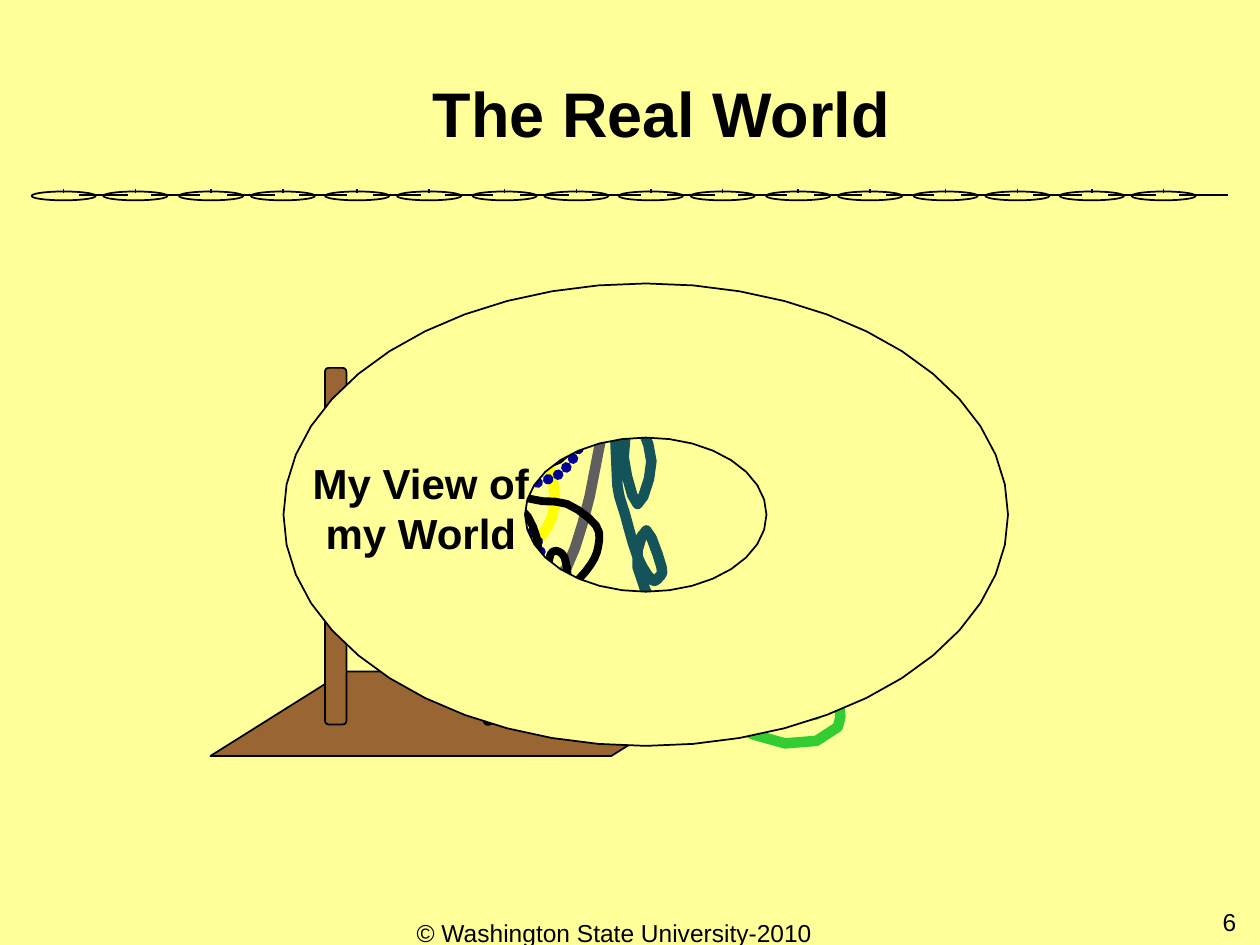
import math
from lxml import etree
from pptx import Presentation
from pptx.dml.color import RGBColor
from pptx.enum.shapes import MSO_CONNECTOR, MSO_SHAPE
from pptx.enum.text import MSO_ANCHOR, PP_ALIGN
from pptx.oxml.ns import qn
from pptx.util import Inches, Pt

OVAL = MSO_SHAPE.OVAL
ROUNDED = MSO_SHAPE.ROUNDED_RECTANGLE
PARALLELOGRAM = MSO_SHAPE.PARALLELOGRAM
STRAIGHT = MSO_CONNECTOR.STRAIGHT
CENTER, RIGHT = PP_ALIGN.CENTER, PP_ALIGN.RIGHT
MIDDLE, TOP, BOTTOM = MSO_ANCHOR.MIDDLE, MSO_ANCHOR.TOP, MSO_ANCHOR.BOTTOM

PAPER = RGBColor(0xFF, 0xFF, 0x99)
BLACK = RGBColor(0, 0, 0)
WOOD = RGBColor(0x99, 0x66, 0x33)
BLUE = RGBColor(0, 0, 0x99)
YELLOW = RGBColor(0xFF, 0xFF, 0)
GRAY = RGBColor(0x5F, 0x5F, 0x5F)
TEAL = RGBColor(0x14, 0x53, 0x5A)
GREEN = RGBColor(0x33, 0xCC, 0x33)

FONT = "Arial"
WIDTH, HEIGHT = Inches(10), Inches(7.5)
COLUMN, ROW = WIDTH // 1000, HEIGHT // 750

YELLOW_LOOPS = [
    (331, 327), (310, 358), (313, 402), (348, 433), (365, 431), (369, 387), (356, 379),
    (340, 394), (342, 415), (377, 442), (412, 440), (430, 425), (440, 402), (436, 372),
    (419, 348), (400, 350), (398, 365)]
GRAY_HOOK = [
    (483, 317), (468, 394), (450, 450), (428, 470), (400, 467), (372, 437), (358, 400),
    (371, 380), (400, 367)]
BLUE_DOTS = [
    (300, 329), (310, 369), (294, 402), (262, 415), (237, 390), (252, 367), (283, 371),
    (298, 419), (262, 429), (248, 460), (281, 479), (321, 483), (335, 456), (323, 388),
    (308, 398), (333, 458), (369, 446), (396, 417), (421, 423), (429, 442), (410, 477),
    (387, 463), (379, 450), (396, 400), (410, 388), (427, 383), (448, 373), (465, 340),
    (454, 306), (429, 310), (444, 333), (448, 304), (421, 287), (381, 302), (394, 337),
    (415, 365)]
BLACK_TANGLE = [
    (354, 325), (381, 373), (400, 390), (419, 410), (427, 433), (421, 448), (385, 471),
    (346, 508), (348, 538), (379, 565), (402, 573), (437, 552), (421, 515), (375, 519),
    (365, 538), (387, 573), (427, 560), (412, 519), (392, 527), (406, 544), (452, 525),
    (442, 500), (412, 494), (429, 521), (454, 500), (450, 450), (444, 438), (437, 440),
    (437, 456), (454, 463), (469, 448), (475, 433), (473, 417), (450, 400), (421, 396),
    (396, 379), (402, 348), (431, 348), (419, 381), (396, 367), (383, 352), (398, 310),
    (404, 363), (419, 369), (444, 365), (460, 340), (437, 319), (433, 350), (440, 356)]
TEAL_STRAND = [
    (498, 325), (495, 363), (506, 400), (517, 366), (504, 331), (488, 340), (490, 385),
    (496, 408), (506, 442), (517, 460), (523, 458), (525, 450), (513, 421), (506, 450),
    (527, 500)]
GREEN_TANGLE = [
    (648, 544), (602, 556), (608, 575), (648, 567), (656, 552), (633, 533), (600, 529),
    (587, 548), (590, 579), (598, 583), (623, 590), (648, 588), (665, 577), (667, 569),
    (665, 544), (629, 519), (608, 529), (631, 565), (648, 554), (660, 515), (685, 527),
    (654, 544), (623, 529), (619, 517), (625, 469)]


def paint(shape, color=None, line=BLACK, width=1):
    shape.shadow.inherit = False
    if color is None:
        shape.fill.background()
    else:
        shape.fill.solid()
        shape.fill.fore_color.rgb = color
    shape.line.color.rgb = line
    shape.line.width = Pt(width)


def add_preset(slide, kind, box, color=None, adjustment=None):
    left, top, width, height = box
    shape = slide.shapes.add_shape(
        kind, left * COLUMN, top * ROW, width * COLUMN, height * ROW)
    if adjustment is not None:
        shape.adjustments[0] = adjustment
    paint(shape, color)
    return shape


def add_line(slide, *ends):
    connector = slide.shapes.add_connector(STRAIGHT, *(round(end * COLUMN) for end in ends))
    connector.line.color.rgb = BLACK
    connector.line.width = Pt(1)
    etree.SubElement(connector.element.spPr, qn("a:effectLst"))
    return connector


def smooth_curve(anchors):
    padded = [anchors[0], *anchors, anchors[-1]]
    points = []
    for before, start, end, after in zip(padded, padded[1:], padded[2:], padded[3:]):
        in_view = 410 < start[0] < 610 and 340 < start[1] < 475
        steps = 3 if in_view else 1
        for step in range(steps):
            t = step / steps
            points.append(tuple(
                b + ((c - a) * t + (2 * a - 5 * b + 4 * c - d) * t ** 2
                     + (3 * b - a - 3 * c + d) * t ** 3) / 2
                for a, b, c, d in zip(before, start, end, after)))
    return points + [anchors[-1]]


def ellipse_points(center, radii, count):
    angles = [2 * math.pi * index / count for index in range(count)]
    return [(center[0] + radii[0] * math.cos(angle), center[1] + radii[1] * math.sin(angle))
            for angle in angles]


def add_outline(slide, contours, close):
    scaled = [[(x * COLUMN, y * ROW) for x, y in contour] for contour in contours]
    builder = slide.shapes.build_freeform(*scaled[0][0])
    builder.add_line_segments(scaled[0][1:], close=close)
    for contour in scaled[1:]:
        builder.move_to(*contour[0])
        builder.add_line_segments(contour[1:], close=close)
    return builder.convert_to_shape()


def add_scribble(slide, anchors, color, width=6, dotted=False):
    shape = add_outline(slide, [smooth_curve(anchors)], False)
    paint(shape, None, color, width)
    if dotted:
        line = shape.element.spPr.find(qn("a:ln"))
        line.set("cap", "rnd")
        dashes = etree.SubElement(line, qn("a:custDash"))
        etree.SubElement(dashes, qn("a:ds"), d="100000", sp="5000")


def format_text(shape, text, size, alignment, anchor, bold=False):
    frame = shape.text_frame
    frame.text = text
    frame.vertical_anchor = anchor
    paragraph = frame.paragraphs[0]
    paragraph.alignment = alignment
    paragraph.font.name = FONT
    paragraph.font.size = Pt(size)
    paragraph.font.bold = bold
    paragraph.font.color.rgb = BLACK
    return paragraph


def add_text(slide, box, text, size, alignment, anchor=TOP, bold=False, wrap=True):
    left, top, width, height = box
    shape = slide.shapes.add_textbox(
        left * COLUMN, top * ROW, width * COLUMN, height * ROW)
    shape.text_frame.word_wrap = wrap
    format_text(shape, text, size, alignment, anchor, bold)


def add_title(slide, box, text):
    title = slide.shapes.title
    left, top, width, height = box
    title.left, title.top = left * COLUMN, top * ROW
    title.width, title.height = width * COLUMN, height * ROW
    format_text(title, text, 36, CENTER, BOTTOM, True).line_spacing = 0.9


def add_layout_chain(slide, left, top, pairs=8, pitch=116.6):
    layout = slide.slide_layout
    for placeholder in list(layout.placeholders)[1:]:
        layout.shapes.element.remove(placeholder.element)
    parts = []
    for index in range(pairs * 2):
        pair, second = divmod(index, 2)
        x = round(left + pair * pitch + second * 57)
        parts.append(add_preset(slide, OVAL, (x, top + 2, 51, 7)))
        parts.append(add_line(slide, x + 25.5, top, x + 25.5, top + 3))
        parts.append(add_line(slide, x + 76.5, top + 5, x + 38, top + 5))
    for part in parts:
        layout.shapes.element.append(part.element)


def add_real_world(slide, left, top):
    add_preset(slide, PARALLELOGRAM, (left, top + 241, 425, 67), WOOD, 1.594)
    add_preset(slide, ROUNDED, (left + 91, top, 17, 283), WOOD, 0.167)
    add_preset(slide, ROUNDED, (left + 100, top + 25, 233, 8), WOOD, 0.167)
    add_preset(slide, OVAL, (left + 225, top + 66, 25, 25), BLUE)
    add_scribble(slide, YELLOW_LOOPS, YELLOW)
    add_scribble(slide, GRAY_HOOK, GRAY)
    add_scribble(slide, BLUE_DOTS, BLUE, dotted=True)
    add_scribble(slide, BLACK_TANGLE, BLACK, 4.5)
    add_scribble(slide, TEAL_STRAND, TEAL)
    add_scribble(slide, GREEN_TANGLE, GREEN)


def add_view(slide, box):
    left, top, width, height = box
    center = (left + width / 2, top + height / 2)
    rim = ellipse_points(center, (width / 2, height / 2), 48)
    hole = ellipse_points(center, (width / 6, height / 6), 32)[::-1]
    paint(add_outline(slide, [rim, hole], True), PAPER)
    add_text(slide, (left + 13, top + 133, 192, 90), "My View of\vmy World",
             24, CENTER, MIDDLE, True, False)


def main():
    presentation = Presentation()
    presentation.slide_width, presentation.slide_height = WIDTH, HEIGHT
    slide = presentation.slides.add_slide(presentation.slide_layouts[5])
    slide.background.fill.solid()
    slide.background.fill.fore_color.rgb = PAPER
    add_layout_chain(slide, 25, 150)
    add_text(slide, (300, 724, 375, 52), "© Washington State University-2010", 14, CENTER)
    add_text(slide, (758, 715, 233, 52), "6", 14, RIGHT)
    add_title(slide, (100, 0, 850, 125), "The Real World")
    add_real_world(slide, 167, 292)
    add_view(slide, (225, 225, 575, 367))
    presentation.save("out.pptx")


if __name__ == "__main__":
    main()
